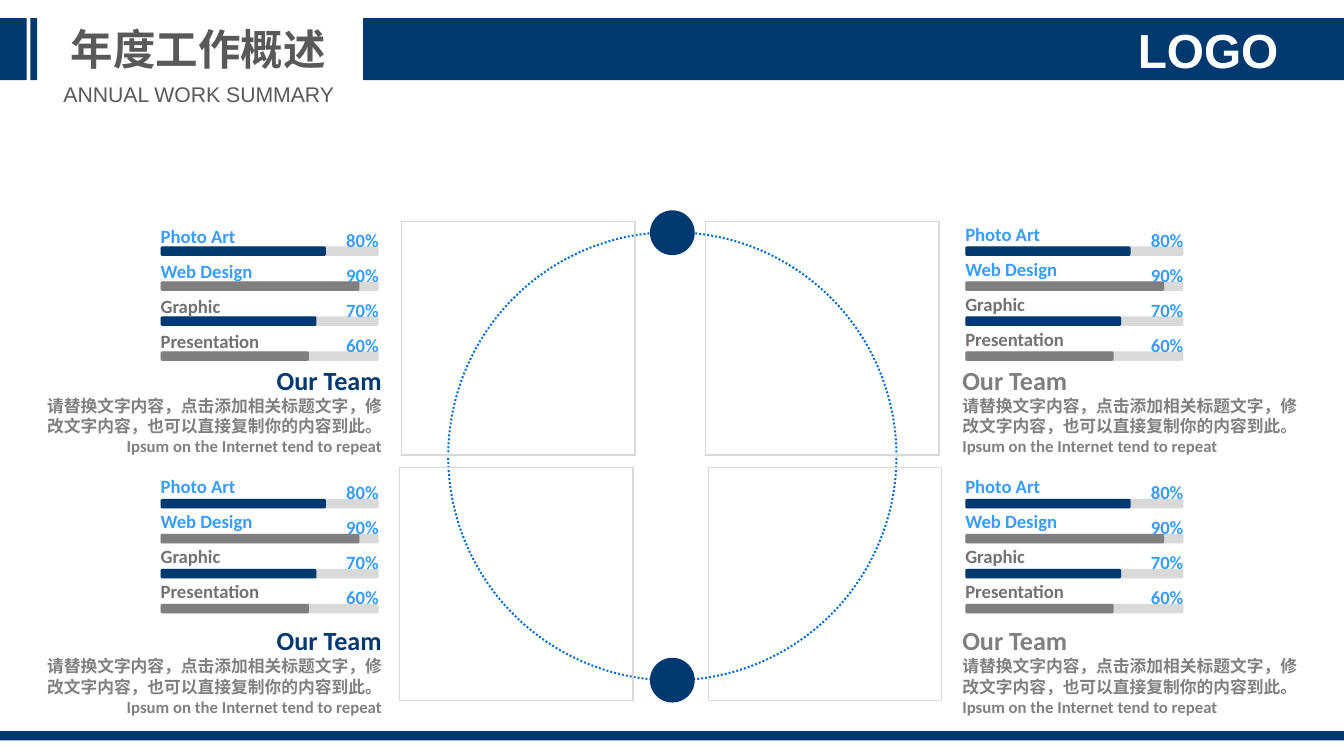
from dataclasses import dataclass

from pptx import Presentation
from pptx.dml.color import RGBColor
from pptx.enum.dml import MSO_LINE
from pptx.enum.shapes import MSO_SHAPE
from pptx.enum.text import MSO_ANCHOR, PP_ALIGN
from pptx.util import Cm, Pt

RECT, OVAL, ROUND = MSO_SHAPE.RECTANGLE, MSO_SHAPE.OVAL, MSO_SHAPE.ROUNDED_RECTANGLE
LEFT, CENTER, RIGHT = PP_ALIGN.LEFT, PP_ALIGN.CENTER, PP_ALIGN.RIGHT
TOP, MIDDLE = MSO_ANCHOR.TOP, MSO_ANCHOR.MIDDLE
DOTTED = MSO_LINE.ROUND_DOT

NAVY, BLUE, SKY = "003970", "006CD3", "389DFF"
GRAY, TEXT, TAUPE = "7F7F7F", "808080", "767171"
DARK, PALE, WHITE = "595959", "D9D9D9", "FFFFFF"

WIDTH, HEIGHT = 35.71, 20.09
FRAME, RING, DOT = 6.2, 11.91, 1.19
TRACK, THICK, PITCH = 5.79, 0.25, 0.93
LABEL, SHARE = 0.61, 1.3
BODY = ("请替换文字内容，点击添加相关标题文字，修改文字内容，"
        "也可以直接复制你的内容到此。 Ipsum on the Internet tend to repeat")


@dataclass
class Box:
    left: float
    top: float
    width: float
    height: float

    def emu(self) -> list:
        return [Cm(n) for n in (self.left, self.top, self.width, self.height)]


@dataclass
class Line:
    text: str
    size: float
    color: str
    font: str = "Calibri"
    bold: bool = True


@dataclass
class Skill:
    name: str
    width: float
    share: str
    bar: float
    ink: str
    fill: str


@dataclass
class Panel:
    left: float
    top: float
    lift: float  # height of each label above its bar


@dataclass
class Team:
    left: float
    top: float
    align: PP_ALIGN
    color: str


SKILLS = [
    Skill("Photo Art", 2.26, "80%", 4.39, SKY, NAVY),
    Skill("Web Design", 2.57, "90%", 5.28, SKY, GRAY),
    Skill("Graphic", 1.6, "70%", 4.14, TAUPE, NAVY),
    Skill("Presentation", 2.67, "60%", 3.94, TAUPE, GRAY),
]
PANELS = [
    Panel(4.27, 6.55, 0.57),
    Panel(4.27, 13.26, 0.66),
    Panel(25.65, 6.55, 0.64),
    Panel(25.65, 13.26, 0.64),
]
TEAMS = [
    Team(left, top, align, color)
    for top in (16.48, 9.55)
    for left, align, color in ((25.32, LEFT, GRAY), (0.79, RIGHT, NAVY))
]
FRAMES = [(10.67, 5.89), (18.75, 5.89), (10.62, 12.42), (18.82, 12.42)]
BANDS = [
    Box(9.65, 0.48, 26.06, 1.65),
    Box(0, 0.48, 0.71, 1.65),
    Box(0.81, 0.48, 0.18, 1.65),
    Box(0, 19.43, WIDTH, 0.25),
]


def rgb(code: str) -> RGBColor:
    return RGBColor.from_string(code)


def solid(shapes, kind: MSO_SHAPE, box: Box, color: str) -> None:
    """Add a filled shape without an outline."""
    shape = shapes.add_shape(kind, *box.emu())
    shape.shadow.inherit = False
    shape.fill.solid()
    shape.fill.fore_color.rgb = rgb(color)
    shape.line.fill.background()


def outline(shapes, kind: MSO_SHAPE, box: Box, color: str, weight: float,
            dash: MSO_LINE | None = None) -> None:
    shape = shapes.add_shape(kind, *box.emu())
    shape.shadow.inherit = False
    shape.fill.background()
    shape.line.color.rgb = rgb(color)
    shape.line.width = Pt(weight)
    if dash is not None:
        shape.line.dash_style = dash


def write(shapes, box: Box, lines: list[Line], align: PP_ALIGN = LEFT,
          wrap: bool = True, tight: bool = False, anchor: MSO_ANCHOR = TOP) -> None:
    """Add a text box with one paragraph per line; tight means no margins."""
    frame = shapes.add_textbox(*box.emu()).text_frame
    frame.word_wrap = wrap
    frame.vertical_anchor = anchor
    if tight:
        frame.margin_left = frame.margin_right = 0
        frame.margin_top = frame.margin_bottom = 0
    for i, line in enumerate(lines):
        para = frame.add_paragraph() if i else frame.paragraphs[0]
        para.text = line.text
        para.alignment = align
        para.font.name = line.font
        para.font.size = Pt(line.size)
        para.font.bold = line.bold
        para.font.color.rgb = rgb(line.color)


def draw_panel(shapes, panel: Panel) -> None:
    group = shapes.add_group_shape().shapes
    for i, skill in enumerate(SKILLS):
        left, top = panel.left, panel.top + i * PITCH
        write(group, Box(left, top - panel.lift, skill.width, LABEL),
              [Line(skill.name, 14.1, skill.ink)], tight=True, anchor=MIDDLE)
        solid(group, ROUND, Box(left, top, TRACK, THICK), PALE)
        solid(group, ROUND, Box(left, top, skill.bar, THICK), skill.fill)
        write(group, Box(left + TRACK - SHARE, top - 0.48, SHARE, LABEL),
              [Line(skill.share, 14.1, SKY)], RIGHT, tight=True, anchor=MIDDLE)


def main() -> None:
    deck = Presentation()
    deck.slide_width, deck.slide_height = Cm(WIDTH), Cm(HEIGHT)
    shapes = deck.slides.add_slide(deck.slide_layouts[6]).shapes

    outline(shapes, OVAL, Box(11.91, 6.17, RING, RING), BLUE, 1.5, DOTTED)
    for left, top in FRAMES:
        outline(shapes, RECT, Box(left, top, FRAME, FRAME), PALE, 1)
    for top in (17.48, 5.59):
        solid(shapes, OVAL, Box(17.27, top, DOT, DOT), NAVY)

    for team in TEAMS:
        write(shapes, Box(team.left, team.top, 9.6, 2.72),
              [Line("Our Team", 19.7, team.color), Line(BODY, 12.65, TEXT)], team.align)
    for panel in PANELS:
        draw_panel(shapes, panel)

    for band in BANDS:
        solid(shapes, RECT, band, NAVY)
    write(shapes, Box(1.6, 0.48, 7.34, 1.63),
          [Line("年度工作概述", 32, DARK, "Arial")], CENTER, wrap=False)
    write(shapes, Box(29.46, 0.53, 5.28, 1.55),
          [Line("LOGO", 36, WHITE, "Arial")], CENTER, tight=True, anchor=MIDDLE)
    write(shapes, Box(1.4, 2.03, 7.77, 0.94),
          [Line("ANNUAL WORK SUMMARY", 16, DARK, "Arial", False)], CENTER, wrap=False)

    deck.save("out.pptx")


if __name__ == "__main__":
    main()
